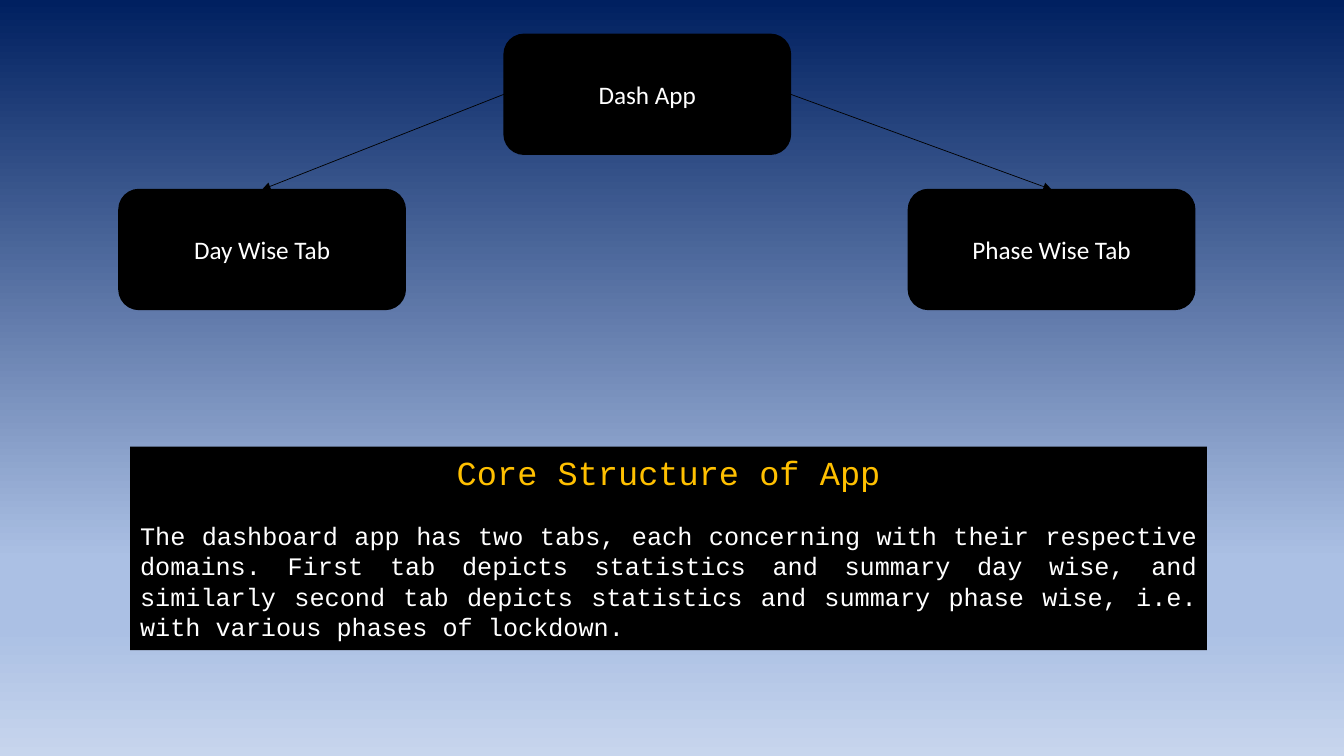
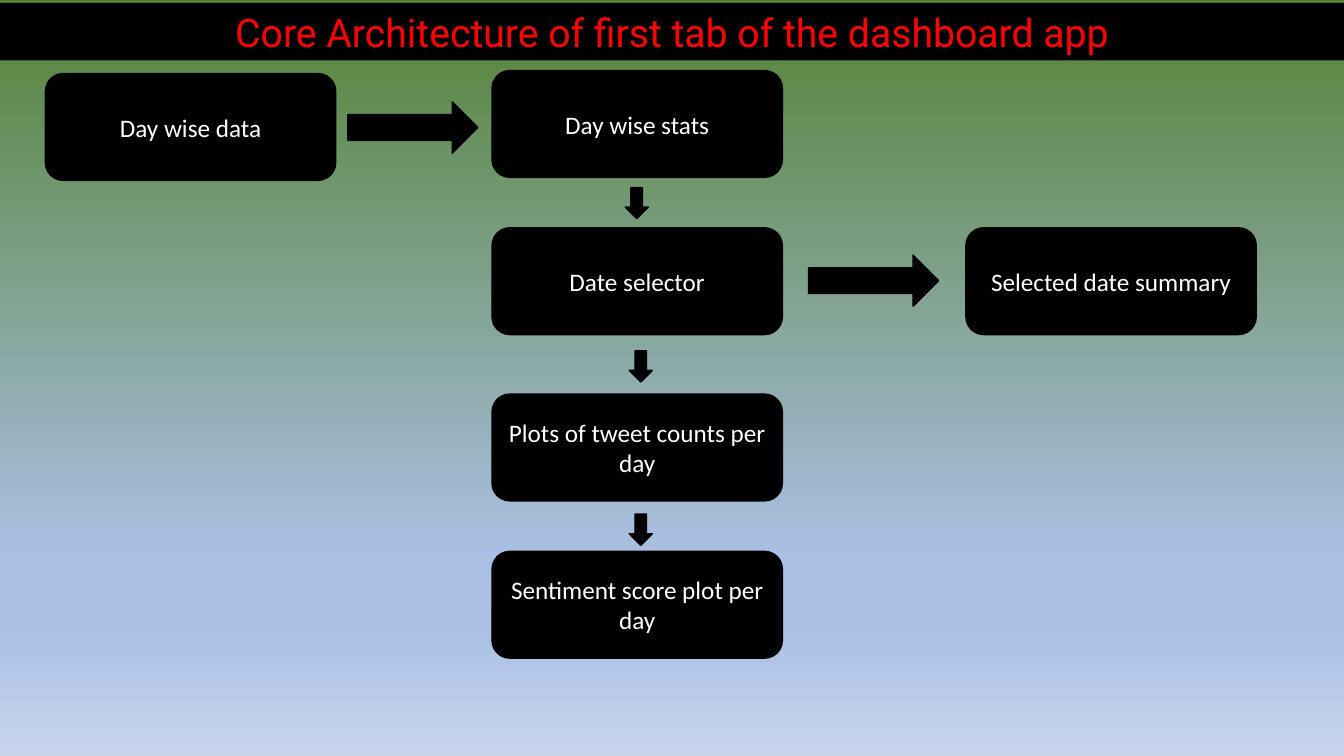
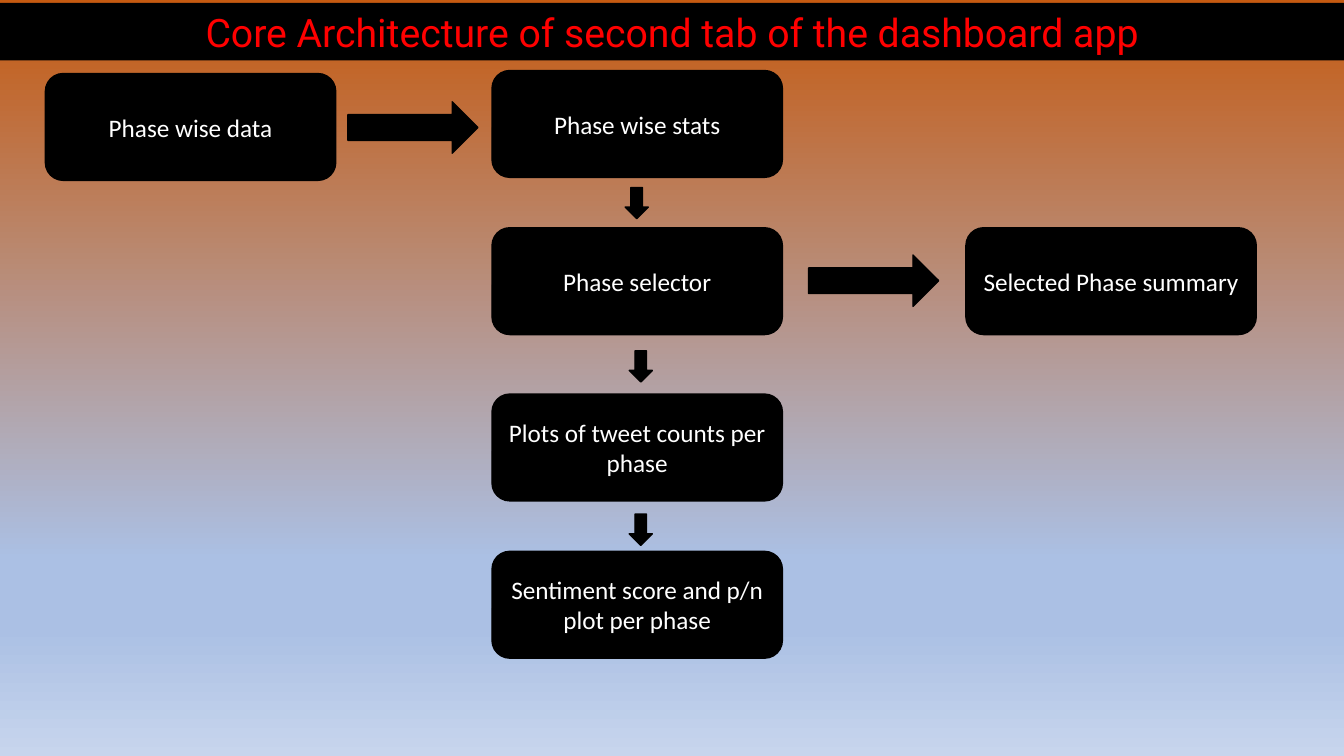
from lxml.etree import SubElement
from pptx import Presentation
from pptx.dml.color import RGBColor
from pptx.enum.shapes import MSO_CONNECTOR, MSO_SHAPE
from pptx.enum.text import MSO_ANCHOR, MSO_AUTO_SIZE, PP_ALIGN
from pptx.oxml.ns import qn
from pptx.util import Inches, Pt

BLACK, WHITE, GOLD, RED = "000000", "FFFFFF", "FFC000", "FF0000"
NAVY, GREEN, ORANGE = "002060", "548235", "C55A11"
FADE = [(74, "ABC0E4"), (83, "ABC0E4"), (100, "C7D5ED")]
TOP, LEFT, RIGHT = 0, 1, 3  # connection sites of a box


def rgb(color):
    return RGBColor.from_string(color)


class Deck:
    def __init__(self):
        self.prs = Presentation()
        self.prs.slide_width = Inches(13.33)
        self.prs.slide_height = Inches(7.5)
        self.s = None

    def slide(self, top_color):
        """Start a slide whose background fades down from top_color."""
        self.s = self.prs.slides.add_slide(self.prs.slide_layouts[6])
        fill = self.s.background.fill
        fill.gradient()
        fill.gradient_angle = 270
        stops = self.s.element.find(".//" + qn("a:gsLst"))
        for stop in list(stops):
            stops.remove(stop)
        for percent, color in [(0, top_color)] + FADE:
            stop = SubElement(stops, qn("a:gs"), pos=str(percent * 1000))
            SubElement(stop, qn("a:srgbClr"), val=color)

    def shape(self, kind, x, y, w, h):
        sp = self.s.shapes.add_shape(kind, Inches(x), Inches(y), Inches(w), Inches(h))
        sp.shadow.inherit = False
        sp.fill.solid()
        sp.fill.fore_color.rgb = rgb(BLACK)
        sp.line.color.rgb = rgb(BLACK)
        sp.line.width = Pt(1)
        return sp

    def set_text(self, p, text, size, font, color, align=PP_ALIGN.CENTER):
        p.text = text
        p.alignment = align
        p.font.size = Pt(size)
        p.font.name = font
        p.font.color.rgb = rgb(color)

    def box(self, text, x, y, w=2.88, h=1.06):
        sp = self.shape(MSO_SHAPE.ROUNDED_RECTANGLE, x, y, w, h)
        tf = sp.text_frame
        tf.word_wrap = True
        tf.vertical_anchor = MSO_ANCHOR.MIDDLE
        self.set_text(tf.paragraphs[0], text, 18, "Calibri", WHITE)
        return sp

    def block_arrow(self, x, y, w, h, rotation=0):
        self.shape(MSO_SHAPE.RIGHT_ARROW, x, y, w, h).rotation = rotation

    def link(self, start, start_site, end, end_site):
        """Draw a thin arrow between connection sites of two boxes."""
        connector = self.s.shapes.add_connector(MSO_CONNECTOR.STRAIGHT, 0, 0, 0, 0)
        connector.begin_connect(start, start_site)
        connector.end_connect(end, end_site)
        connector.line.color.rgb = rgb(BLACK)
        connector.line.width = Pt(0.5)
        spPr = connector.element.spPr
        SubElement(spPr.find(qn("a:ln")), qn("a:tailEnd"), type="triangle")
        SubElement(spPr, qn("a:effectLst"))

    def panel(self, x, y, w, h):
        """Add a black text panel and return its text frame."""
        sp = self.s.shapes.add_textbox(Inches(x), Inches(y), Inches(w), Inches(h))
        sp.fill.solid()
        sp.fill.fore_color.rgb = rgb(BLACK)
        tf = sp.text_frame
        tf.word_wrap = True
        tf.auto_size = MSO_AUTO_SIZE.SHAPE_TO_FIT_TEXT
        return tf

    def title(self, text):
        tf = self.panel(0, 0.03, 13.33, 0.57)
        self.set_text(tf.paragraphs[0], text, 28, "Roboto", RED)


def structure_slide(deck):
    deck.slide(NAVY)
    app = deck.box("Dash App", 5, 0.34, 2.84, 1.19)
    day = deck.box("Day Wise Tab", 1.18, 1.88, 2.84, 1.19)
    phase = deck.box("Phase Wise Tab", 9.01, 1.88, 2.84, 1.19)
    deck.link(app, LEFT, day, TOP)
    deck.link(app, RIGHT, phase, TOP)

    tf = deck.panel(1.29, 4.43, 10.68, 2.02)
    deck.set_text(tf.paragraphs[0], "Core Structure of App", 24, "Courier New", GOLD)
    p = tf.add_paragraph()
    p.space_before = Pt(20.4)
    deck.set_text(
        p,
        "The dashboard app has two tabs, each concerning with their respective "
        "domains. First tab depicts statistics and summary day wise, and similarly "
        "second tab depicts statistics and summary phase wise, i.e. with various "
        "phases of lockdown.",
        18, "Courier New", WHITE, PP_ALIGN.JUSTIFY)


def tab_slide(deck, top_color, title, data, steps, summary):
    """Draw the data box, the column of steps and the summary box of one tab."""
    deck.slide(top_color)
    for text, y in zip(steps, (0.7, 2.26, 3.91, 5.47)):
        deck.box(text, 4.88, y)
    deck.box(data, 0.45, 0.73)
    deck.box(summary, 9.58, 2.26)
    for x, y in ((3.45, 1.01), (8.02, 2.53)):
        deck.block_arrow(x, y, 1.29, 0.51)
    for x, y in ((6.16, 1.9), (6.2, 3.52), (6.2, 5.14)):
        deck.block_arrow(x, y, 0.31, 0.23, rotation=90)
    deck.title(title)


def main():
    deck = Deck()
    structure_slide(deck)
    tab_slide(deck, GREEN, "Core Architecture of first tab of the dashboard app",
              "Day wise data",
              ["Day wise stats", "Date selector", "Plots of tweet counts per day",
               "Sentiment score plot per day"],
              "Selected date summary")
    tab_slide(deck, ORANGE, "Core Architecture of second tab of the dashboard app",
              "Phase wise data",
              ["Phase wise stats", "Phase selector", "Plots of tweet counts per phase",
               "Sentiment score and p/n plot per phase"],
              "Selected Phase summary")
    deck.prs.save("out.pptx")


if __name__ == "__main__":
    main()
